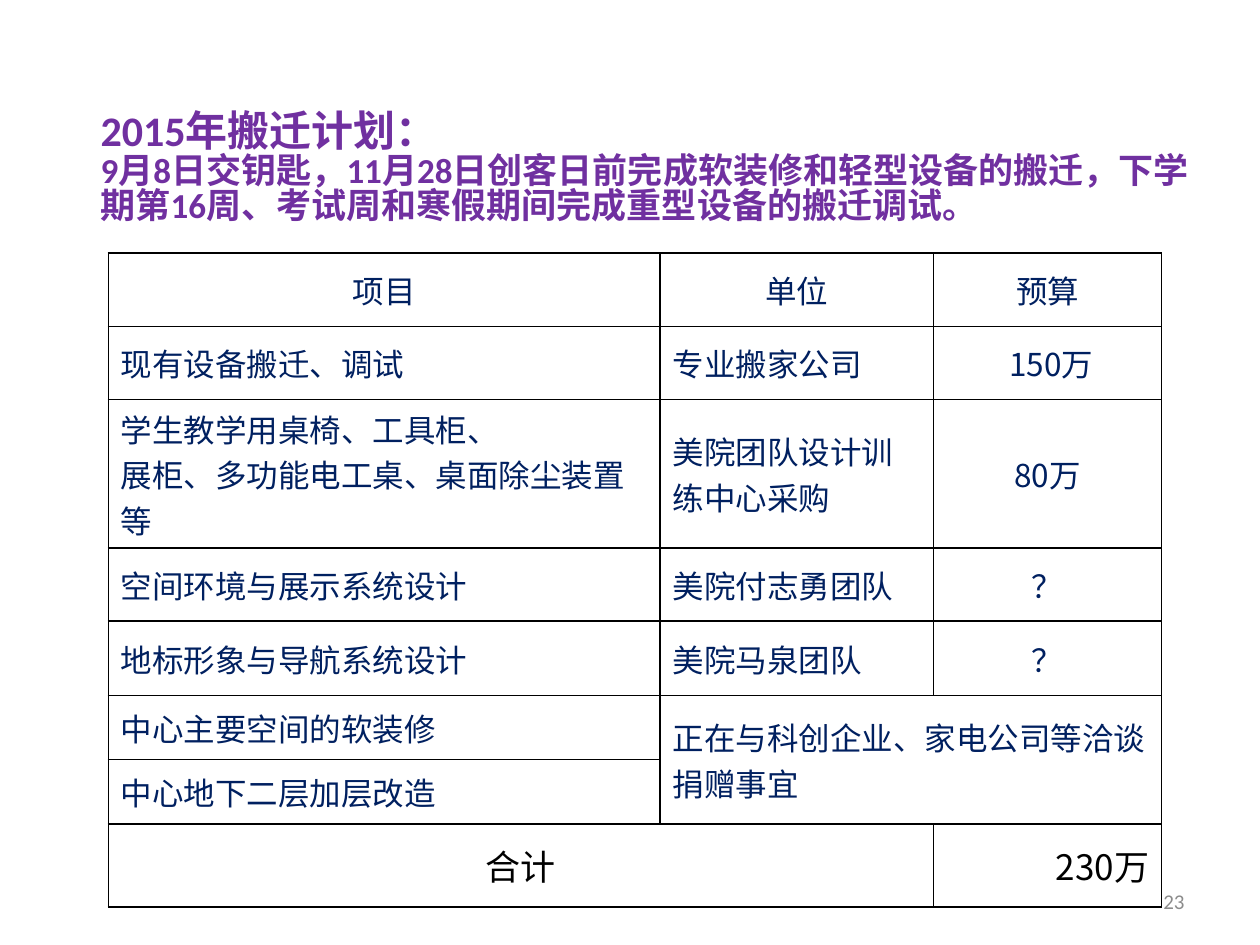
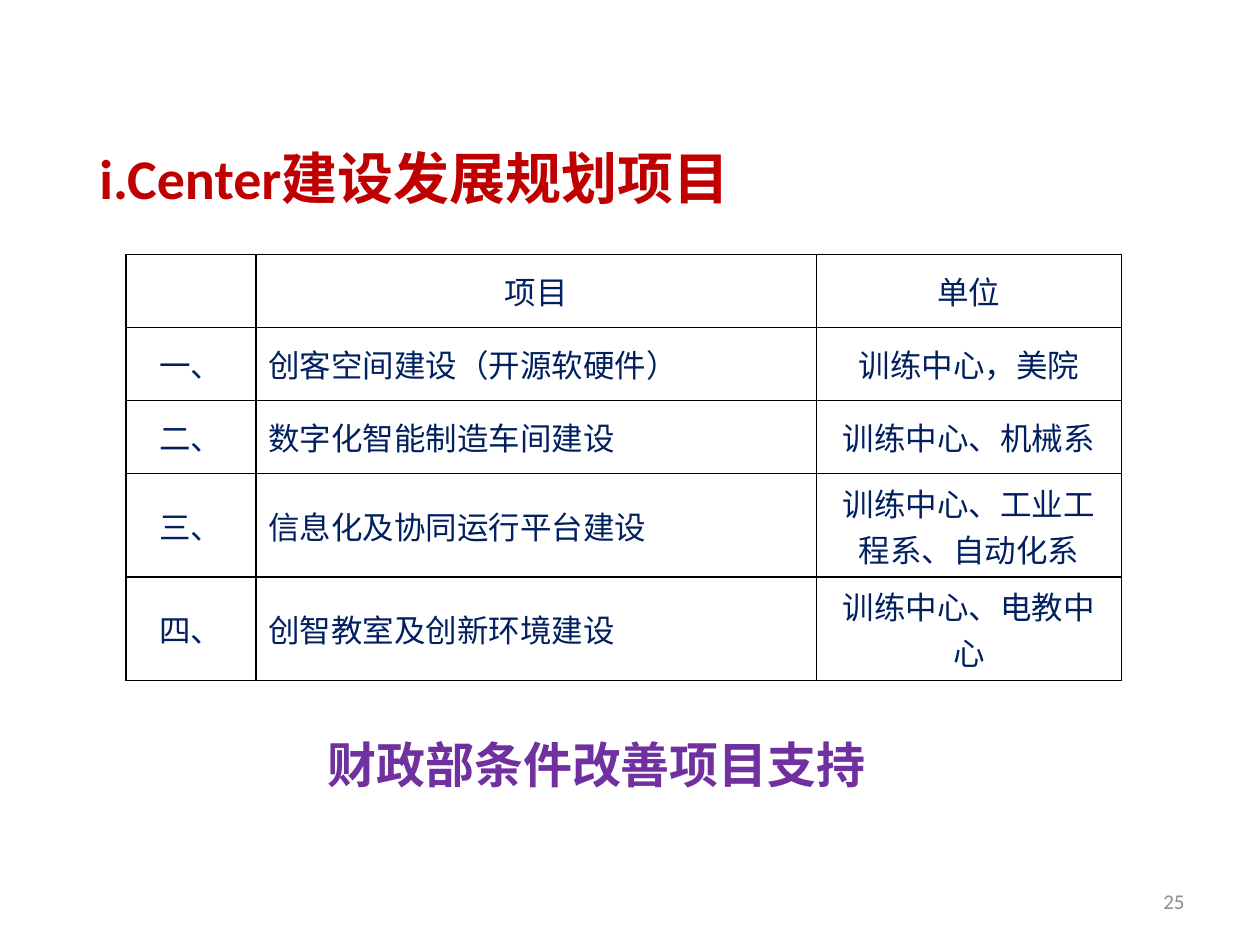
import lxml.etree
import pptx
import pptx.dml.color
import pptx.enum.text
import pptx.oxml.ns
import pptx.util

Inches = pptx.util.Inches
ALIGN = {"l": pptx.enum.text.PP_ALIGN.LEFT,
         "c": pptx.enum.text.PP_ALIGN.CENTER,
         "r": pptx.enum.text.PP_ALIGN.RIGHT}
MIDDLE = pptx.enum.text.MSO_ANCHOR.MIDDLE
BOTTOM = pptx.enum.text.MSO_ANCHOR.BOTTOM
TOP = pptx.enum.text.MSO_ANCHOR.TOP

NAVY, PURPLE, RED, GREY, BLACK = "002060", "7030A0", "C00000", "8C8C8C", "000000"
LATIN, CHINESE = "Calibri", "Noto Sans CJK SC"


def color(value):
    return pptx.dml.color.RGBColor.from_string(value)


class Painter:
    """Holds the deck's style and draws on the current slide."""

    def __init__(self):
        self.deck = pptx.Presentation()
        self.deck.slide_width = Inches(10)
        self.deck.slide_height = Inches(7.5)
        self.slide = None

    def new_slide(self, number):
        self.slide = self.deck.slides.add_slide(self.deck.slide_layouts[6])
        self.text(7.17, 6.95, 2.33, 0.4, [(str(number), 12)], GREY,
                  bold=False, align="r", anchor=MIDDLE)

    def format(self, para, size, tint, font, bold=False, align="l"):
        para.alignment = ALIGN[align]
        for span in para.runs:
            span.font.size = pptx.util.Pt(size)
            span.font.name = font
            span.font.bold = bold
            span.font.color.rgb = color(tint)
            east_asian = lxml.etree.SubElement(
                span.font._element, pptx.oxml.ns.qn("a:ea"))
            east_asian.set("typeface", CHINESE)

    def text(self, left, top, width, height, lines, tint, bold=True,
             align="l", anchor=TOP, wrap=True, spacing=None):
        """Draw a text box; lines are pairs of wording and point size."""
        box = self.slide.shapes.add_textbox(
            Inches(left), Inches(top), Inches(width), Inches(height))
        frame = box.text_frame
        frame.word_wrap = wrap
        frame.vertical_anchor = anchor
        frame.text = "\n".join(wording for wording, size in lines)
        for para, (wording, size) in zip(frame.paragraphs, lines):
            self.format(para, size, tint, LATIN, bold, align)
            para.line_spacing = spacing

    def border(self, cell):
        properties = cell._tc.get_or_add_tcPr()
        for index, side in enumerate(("lnL", "lnR", "lnT", "lnB")):
            line = lxml.etree.Element(pptx.oxml.ns.qn("a:" + side),
                                      w=str(pptx.util.Pt(1)))
            fill = lxml.etree.SubElement(line, pptx.oxml.ns.qn("a:solidFill"))
            lxml.etree.SubElement(fill, pptx.oxml.ns.qn("a:srgbClr"), val=BLACK)
            properties.insert(index, line)

    def table(self, left, top, widths, heights, rows, aligns):
        """Draw a bordered table with a centred header; None leaves a cell empty."""
        frame = self.slide.shapes.add_table(
            len(heights), len(widths), Inches(left), Inches(top),
            Inches(sum(widths)), Inches(sum(heights)))
        table = frame.table
        table.first_row = table.horz_banding = False
        for column, width in zip(table.columns, widths):
            column.width = Inches(width)
        for row, height in zip(table.rows, heights):
            row.height = Inches(height)
        for r, row in enumerate(rows):
            for c, wording in enumerate(row):
                cell = table.cell(r, c)
                cell.fill.background()
                self.border(cell)
                if wording:
                    self.fill_cell(cell, wording, aligns[c] if r else "c")
        return table

    def fill_cell(self, cell, wording, align, size=18, tint=NAVY):
        cell.vertical_anchor = MIDDLE
        cell.text_frame.text = wording
        for para in cell.text_frame.paragraphs:
            self.format(para, size, tint, CHINESE, align=align)


def moving_plan(painter):
    painter.new_slide(23)
    rows = [
        ("项目", "单位", "预算"),
        ("现有设备搬迁、调试", "专业搬家公司", " 150万"),
        ("学生教学用桌椅、工具柜、\n展柜、多功能电工桌、桌面除尘装置\n等",
         "美院团队设计训练中心采购", "80万"),
        ("空间环境与展示系统设计", "美院付志勇团队", "？"),
        ("地标形象与导航系统设计", "美院马泉团队", "？"),
        ("中心主要空间的软装修", "正在与科创企业、家电公司等洽谈捐赠事宜", None),
        ("中心地下二层加层改造", None, None),
        (None, None, None),
    ]
    heights = [0.58, 0.58, 1.18, 0.58, 0.59, 0.51, 0.51, 0.66]
    table = painter.table(0.86, 2.01, [4.38, 2.17, 1.81], heights, rows, "llc")
    table.cell(5, 1).merge(table.cell(6, 2))
    table.cell(7, 0).merge(table.cell(7, 1))
    painter.fill_cell(table.cell(7, 0), "合计", "c", 20, BLACK)
    painter.fill_cell(table.cell(7, 2), "230万", "r", 20, BLACK)
    painter.text(0.7, 0.47, 9.06, 1.37, [
        ("2015年搬迁计划：", 24),
        ("9月8日交钥匙，11月28日创客日前完成软装修和轻型设备的搬迁，"
         "下学期第16周、考试周和寒假期间完成重型设备的搬迁调试。", 20),
    ], PURPLE, anchor=BOTTOM, spacing=0.84)


def development_projects(painter):
    painter.new_slide(25)
    rows = [
        (None, "项目", "单位"),
        ("一、", "创客空间建设（开源软硬件）", "训练中心，美院"),
        ("二、", "数字化智能制造车间建设", "训练中心、机械系"),
        ("三、", "信息化及协同运行平台建设", "训练中心、工业工程系、自动化系"),
        ("四、", "创智教室及创新环境建设", "训练中心、电教中心"),
    ]
    heights = [0.58] * 3 + [0.82] * 2
    table = painter.table(1, 2.02, [1.03, 4.45, 2.42], heights, rows, "clc")
    for r in range(1, len(rows)):
        properties = table.cell(r, 0).text_frame.paragraphs[0]._p.get_or_add_pPr()
        properties.set("marL", str(Inches(0.38)))
        properties.set("indent", str(-Inches(0.38)))
    painter.text(0.59, 0.7, 7.52, 1.02, [(" i.Center建设发展规划项目", 32)],
                 RED, anchor=BOTTOM)
    painter.text(2.5, 5.78, 4.52, 0.57, [("财政部条件改善项目支持", 28)],
                 PURPLE, wrap=False)


def main():
    painter = Painter()
    moving_plan(painter)
    development_projects(painter)
    painter.deck.save("out.pptx")


if __name__ == "__main__":
    main()
